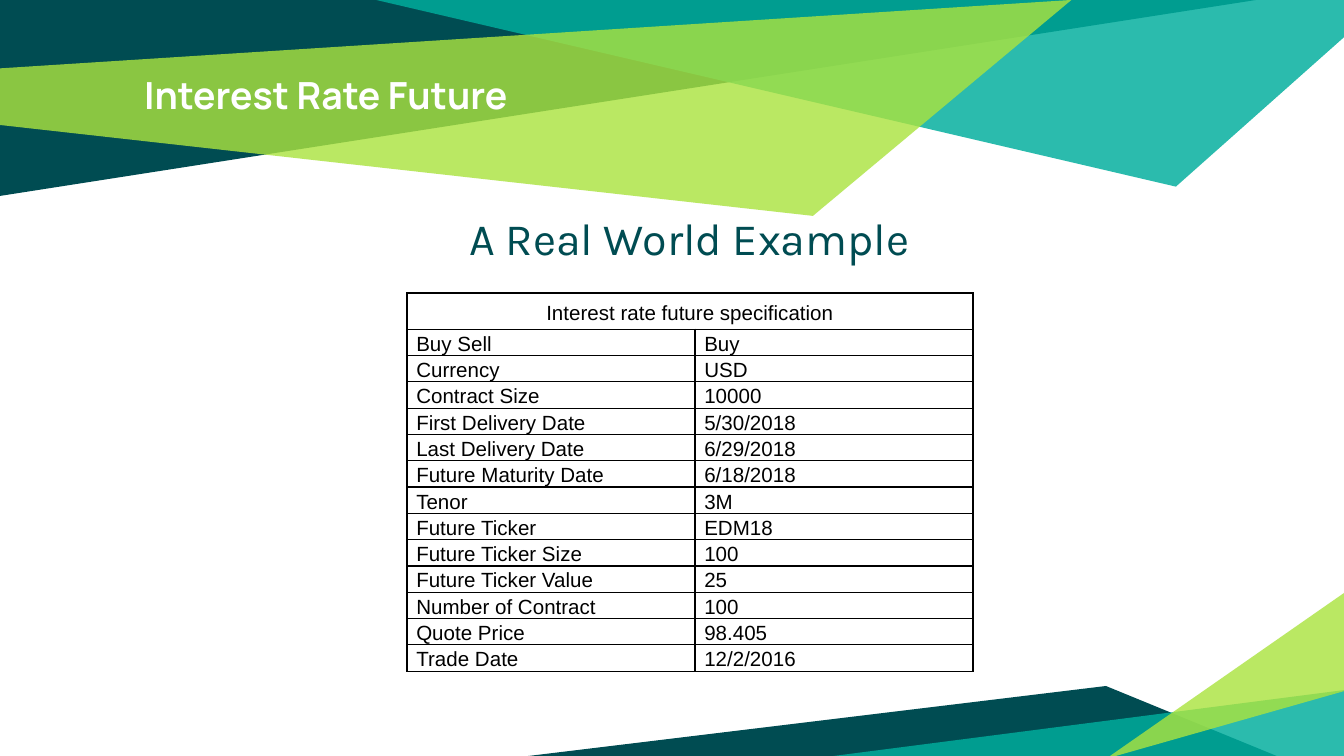
from dataclasses import dataclass
from typing import Any

import lxml.etree
import pptx
import pptx.dml.color
import pptx.enum.text
import pptx.oxml
import pptx.oxml.ns
import pptx.util

Pt = pptx.util.Pt
Align = pptx.enum.text.PP_ALIGN
Anchor = pptx.enum.text.MSO_ANCHOR
qn = pptx.oxml.ns.qn


@dataclass(frozen=True)
class Theme:
    dark: str = "004C52"
    teal: str = "00AE9D"
    lime: str = "ABE33F"
    white: str = "FFFFFF"
    black: str = "000000"
    title_font: str = "Manrope"
    body_font: str = "Karla"
    table_font: str = "Arial"
    title_size: float = 20
    body_size: float = 24
    table_size: float = 11
    border_width: float = 0.75


@dataclass(frozen=True)
class Band:
    color: str
    opacity: int
    points: tuple[tuple[float, float], ...]


THEME = Theme()

# Translucent bands, from back to front, corners in points
BANDS = (
    Band(THEME.dark, 100, ((0, 0), (0, 105), (673, 0))),
    Band(THEME.teal, 83, ((201.5, 0), (630, 100), (720, 20), (720, 0))),
    Band(THEME.lime, 81, ((-0.5, 36.7), (0, 67), (435.5, 115.7), (574, 0))),
    Band(THEME.dark, 100, ((283, 405), (684, 405), (592.5, 367.5))),
    Band(THEME.teal, 83, ((721.5, 369.5), (721.5, 406.5), (435, 406.5))),
    Band(THEME.lime, 81, ((721, 370), (721, 317), (592.5, 406.5))),
)

HEADING = "Interest rate future specification"
SPECIFICATION = (
    ("Buy Sell", "Buy"),
    ("Currency", "USD"),
    ("Contract Size", "10000"),
    ("First Delivery Date", "5/30/2018"),
    ("Last Delivery Date", "6/29/2018"),
    ("Future Maturity Date", "6/18/2018"),
    ("Tenor", "3M"),
    ("Future Ticker", "EDM18"),
    ("Future Ticker Size", "100"),
    ("Future Ticker Value", "25"),
    ("Number of Contract", "100"),
    ("Quote Price", "98.405"),
    ("Trade Date", "12/2/2016"),
)


def rgb(color: str) -> pptx.dml.color.RGBColor:
    return pptx.dml.color.RGBColor.from_string(color)


def write_text(frame: Any, text: str, *, font: str, size: float, color: str,
               bold: bool = False, align: Any = Align.LEFT,
               line_spacing: float = 1.0, indent: float = 0) -> None:
    """Fill a text frame with one formatted paragraph."""
    frame.word_wrap = True
    para = frame.paragraphs[0]
    para.alignment = align
    para.line_spacing = line_spacing
    para.space_before = Pt(0)
    if indent:
        para._p.get_or_add_pPr().set("marL", str(Pt(indent)))
    span = para.add_run()
    span.text = text
    span.font.name = font
    span.font.size = Pt(size)
    span.font.bold = bold
    span.font.color.rgb = rgb(color)


def draw_band(page: Any, band: Band) -> None:
    corners = [(Pt(x), Pt(y)) for x, y in band.points]
    builder = page.shapes.build_freeform(*corners[0])
    builder.add_line_segments(corners[1:], close=True)
    shape = builder.convert_to_shape()
    shape.shadow.inherit = False
    shape.line.fill.background()
    shape.fill.solid()
    shape.fill.fore_color.rgb = rgb(band.color)
    if band.opacity < 100:
        color = shape._element.spPr.find(f".//{qn('a:srgbClr')}")
        lxml.etree.SubElement(color, qn("a:alpha"), val=str(band.opacity * 1000))


def place_frame(box: Any, left: float, top: float, width: float, height: float) -> Any:
    """Position a text box and return its text frame with even margins."""
    box.left, box.top, box.width, box.height = map(Pt, (left, top, width, height))
    frame = box.text_frame
    frame.auto_size = pptx.enum.text.MSO_AUTO_SIZE.NONE
    frame.vertical_anchor = Anchor.TOP
    frame.margin_left = frame.margin_right = Pt(7.2)
    frame.margin_top = frame.margin_bottom = Pt(7.2)
    return frame


def format_cell(cell: Any) -> None:
    cell.vertical_anchor = Anchor.MIDDLE
    cell.margin_left = cell.margin_right = Pt(5)
    cell.margin_top = cell.margin_bottom = Pt(0)
    properties = cell._tc.get_or_add_tcPr()
    for side in ("a:lnL", "a:lnR", "a:lnT", "a:lnB"):
        line = lxml.etree.SubElement(properties, qn(side), w=str(Pt(THEME.border_width)))
        fill = lxml.etree.SubElement(line, qn("a:solidFill"))
        lxml.etree.SubElement(fill, qn("a:srgbClr"), val=THEME.black)
    cell.fill.background()


def draw_table(page: Any, left: float, top: float, widths: tuple[float, ...],
               heading_height: float, row_height: float) -> None:
    count = len(SPECIFICATION) + 1
    height = heading_height + row_height * len(SPECIFICATION)
    table = page.shapes.add_table(count, len(widths), Pt(left), Pt(top),
                                  Pt(sum(widths)), Pt(height)).table
    table.first_row = table.horz_banding = False
    for column, width in zip(table.columns, widths):
        column.width = Pt(width)
    for index, row in enumerate(table.rows):
        row.height = Pt(row_height if index else heading_height)
        for cell in row.cells:
            format_cell(cell)
    style = dict(font=THEME.table_font, size=THEME.table_size,
                 color=THEME.black, line_spacing=1.15)
    heading = table.cell(0, 0)
    heading.merge(table.cell(0, len(widths) - 1))
    write_text(heading.text_frame, HEADING, align=Align.CENTER, **style)
    for row_index, entry in enumerate(SPECIFICATION, start=1):
        for column_index, text in enumerate(entry):
            write_text(table.cell(row_index, column_index).text_frame, text, **style)


def main() -> None:
    deck = pptx.Presentation()
    deck.slide_width, deck.slide_height = Pt(720), Pt(405)
    page = deck.slides.add_slide(deck.slide_layouts[5])

    # Background bands
    for band in BANDS:
        draw_band(page, band)

    # Title, raised above the bands
    title = page.shapes.title
    page.shapes._spTree.append(title._element)
    write_text(place_frame(title, 70, 31.7, 580, 46), "Interest Rate Future",
               font=THEME.title_font, size=THEME.title_size,
               color=THEME.white, bold=True)

    # Subtitle
    box = page.shapes.add_textbox(0, 0, 0, 0)
    write_text(place_frame(box, 76.3, 105.8, 580, 255), "A Real World Example",
               font=THEME.body_font, size=THEME.body_size, color=THEME.dark,
               align=Align.CENTER, indent=6)

    # Specification table
    draw_table(page, 218, 157, widths=(154.3, 149), heading_height=19.4, row_height=14.1)

    deck.save("out.pptx")


if __name__ == "__main__":
    main()
